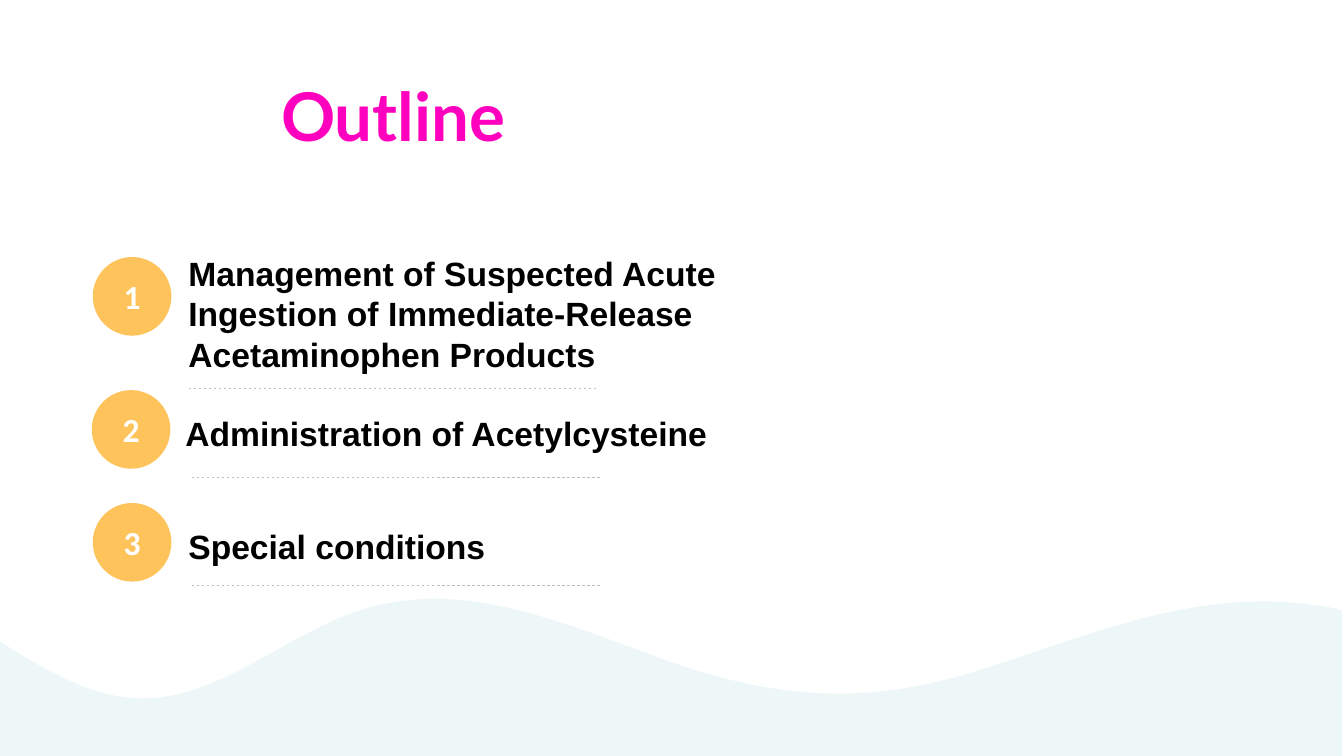
from dataclasses import dataclass

from lxml import etree
from pptx import Presentation
from pptx.dml.color import RGBColor
from pptx.enum.dml import MSO_LINE
from pptx.enum.shapes import MSO_CONNECTOR, MSO_SHAPE
from pptx.enum.text import MSO_ANCHOR, MSO_AUTO_SIZE, PP_ALIGN
from pptx.oxml.ns import qn
from pptx.util import Emu, Pt

PX = 9144  # 100 px to the inch
OVAL = MSO_SHAPE.OVAL
STRAIGHT = MSO_CONNECTOR.STRAIGHT
DASH = MSO_LINE.DASH
MIDDLE = MSO_ANCHOR.MIDDLE
CENTER = PP_ALIGN.CENTER
GROW = MSO_AUTO_SIZE.SHAPE_TO_FIT_TEXT


@dataclass(frozen=True)
class Theme:
    title: dict
    topic: dict
    number: dict
    badge: str = "FEC35B"
    rule: str = "BFBFBF"
    wave: str = "E5F3F3"
    wave_alpha: int = 66
    rule_width: float = 0.5


THEME = Theme(
    title={"name": "Lato", "size": Pt(48), "bold": True, "color": "FF00BF"},
    topic={"name": "Arial", "size": Pt(24), "bold": True, "color": "000000"},
    number={"name": "Calibri", "size": Pt(24), "bold": True, "color": "FFFFFF"},
)

BADGE = 78
RULE_LENGTH = 406
# Each topic: wording, text box, badge corner, start of the rule below
TOPICS = [
    ("Management of Suspected Acute Ingestion of Immediate-Release "
     "Acetaminophen Products", (177, 246, 602, 131), (92, 255), (187, 385)),
    ("Administration of Acetylcysteine", (174, 405, 561, 50), (91, 387), (190, 474)),
    ("Special conditions", (177, 517, 415, 50), (92, 499), (190, 581)),
]
# Outline relative to the wave's box, from the highest crest clockwise:
# one point is a straight side, three points are a cubic curve
WAVE_BOX = (0, 594, 1331, 156)
WAVE_START = (434, 0)
WAVE_SIDES = [
    [(503, 1), (574, 29), (641, 54)],
    [(753, 96), (845, 109), (961, 74)],
    [(1070, 41), (1181, -11), (1300, 6)],
    [(1308, 7), (1317, 8), (1325, 10)],
    [(1331, 12)],
    [(1331, 156)],
    [(0, 156)],
    [(0, 43)],
    [(2, 44)],
    [(46, 71), (90, 98), (140, 99)],
    [(221, 99), (286, 32), (365, 9)],
    [(387, 3), (410, 0), WAVE_START],
]


def to_emu(lengths):
    return [Emu(round(length * PX)) for length in lengths]


def format_text(para, text, style, **settings):
    for name, value in settings.items():
        setattr(para, name, value)
    span = para.add_run()
    span.text = text
    for name, value in style.items():
        if name == "color":
            span.font.color.rgb = RGBColor.from_string(value)
        else:
            setattr(span.font, name, value)


def fill_plain(shape, color):
    shape.shadow.inherit = False
    shape.fill.solid()
    shape.fill.fore_color.rgb = RGBColor.from_string(color)
    shape.line.fill.background()


def add_text(page, box, text, style, **settings):
    frame = page.shapes.add_textbox(*to_emu(box)).text_frame
    frame.word_wrap = True
    frame.auto_size = GROW
    format_text(frame.paragraphs[0], text, style, **settings)


def bend_side(side, handles):
    """Turn a straight side of a freeform into a cubic curve."""
    side.tag = qn("a:cubicBezTo")
    for index, handle in enumerate(handles):
        x, y = to_emu(handle)
        point = etree.Element(qn("a:pt"), x=str(int(x)), y=str(int(y)))
        side.insert(index, point)


def add_wave(page, box):
    left, top = to_emu(box[:2])
    builder = page.shapes.build_freeform(*to_emu(WAVE_START), scale=1.0)
    builder.add_line_segments([to_emu(side[-1]) for side in WAVE_SIDES], close=True)
    wave = builder.convert_to_shape(left, top)
    sides = list(wave._element.iter(qn("a:lnTo")))
    for side, (*handles, _) in zip(sides, WAVE_SIDES):
        if handles:
            bend_side(side, handles)
    fill_plain(wave, THEME.wave)
    color = next(wave._element.spPr.iter(qn("a:srgbClr")))
    etree.SubElement(color, qn("a:alpha"), val=str(THEME.wave_alpha * 1000))


def add_badge(page, corner, number):
    badge = page.shapes.add_shape(OVAL, *to_emu((*corner, BADGE, BADGE)))
    fill_plain(badge, THEME.badge)
    badge.text_frame.vertical_anchor = MIDDLE
    format_text(badge.text_frame.paragraphs[0], str(number), THEME.number,
                alignment=CENTER)


def add_rule(page, start):
    left, top = start
    ends = to_emu((left, top, left + RULE_LENGTH, top))
    rule = page.shapes.add_connector(STRAIGHT, *ends)
    rule.line.color.rgb = RGBColor.from_string(THEME.rule)
    rule.line.width = Pt(THEME.rule_width)
    rule.line.dash_style = DASH
    etree.SubElement(rule._element.spPr, qn("a:effectLst"))


def add_topic(page, number, topic):
    text, box, corner, rule_start = topic
    add_rule(page, rule_start)
    add_badge(page, corner, number)
    add_text(page, box, text, THEME.topic)


def main():
    deck = Presentation()
    deck.slide_width, deck.slide_height = to_emu((1333, 750))
    page = deck.slides.add_slide(deck.slide_layouts[6])
    add_wave(page, WAVE_BOX)
    add_text(page, (204, 69, 372, 91), "Outline", THEME.title, alignment=CENTER)
    for number, topic in enumerate(TOPICS, 1):
        add_topic(page, number, topic)
    deck.save("out.pptx")


if __name__ == "__main__":
    main()
